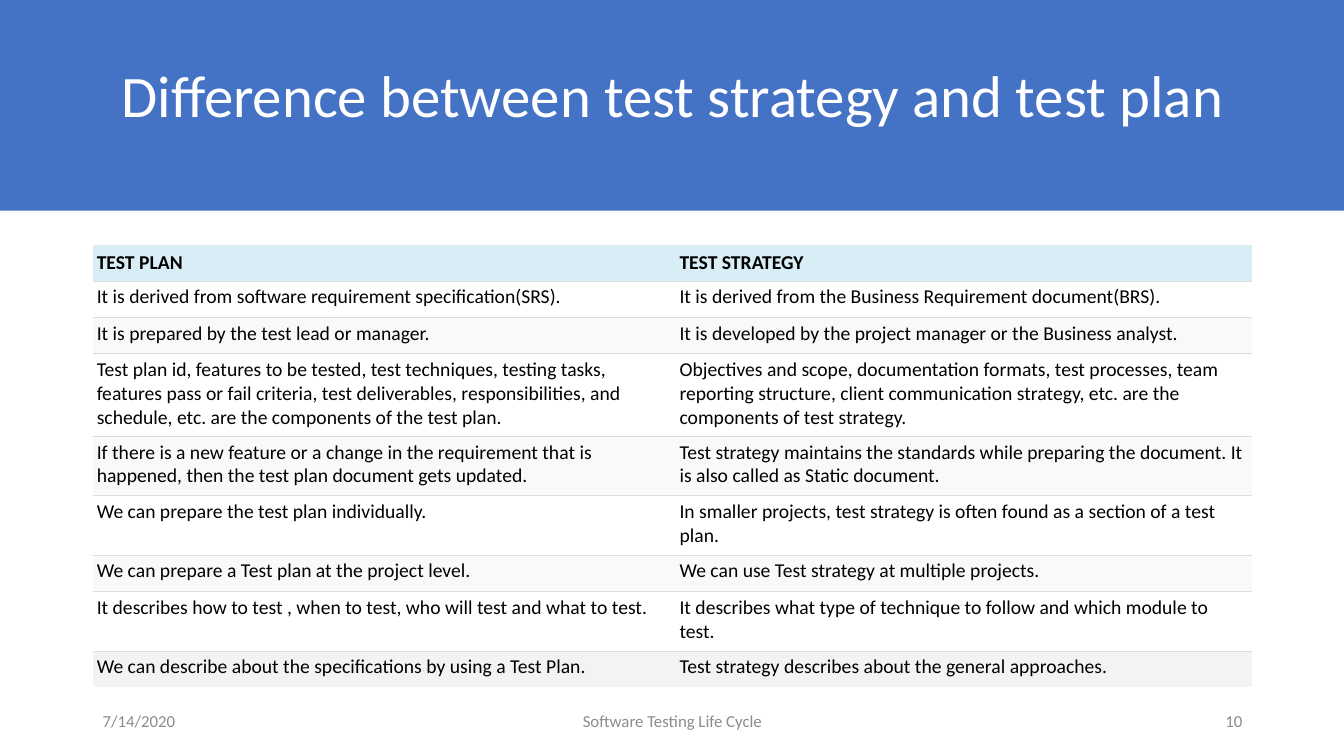
from dataclasses import dataclass

from lxml.etree import SubElement
from pptx import Presentation
from pptx.dml.color import RGBColor
from pptx.enum.shapes import MSO_SHAPE
from pptx.enum.text import MSO_ANCHOR, PP_ALIGN
from pptx.oxml.ns import qn
from pptx.util import Inches, Pt


@dataclass(frozen=True)
class Theme:
    """Colours, font and type sizes of the slide."""
    font: str = "Calibri"
    band: str = "4472C4"
    title: str = "FFFFFF"
    text: str = "000000"
    footer: str = "8C8C8C"
    header_fill: str = "D9EDF7"
    row_fills: tuple = ("FFFFFF", "F9F9F9")
    last_fill: str = "F3F3F3"
    rule: str = "DDDDDD"
    title_size: int = 42
    table_size: int = 14
    footer_size: int = 12


THEME = Theme()
MARGIN, CONTENT_WIDTH = 0.92, 11.5
COLUMN_WIDTHS = (5.78, 5.72)
LINE_HEIGHTS = {1: 0.36, 2: 0.59, 3: 0.82}
ROW_LINES = (1, 1, 1, 3, 2, 2, 1, 2, 1)
ROWS = (
    ("TEST PLAN", "TEST STRATEGY"),
    ("It is derived from software requirement specification(SRS).",
     "It is derived from the Business Requirement document(BRS)."),
    ("It is prepared by the test lead or manager.",
     "It is developed by the project manager or the Business analyst."),
    ("Test plan id, features to be tested, test techniques, testing tasks, features pass or "
     "fail criteria, test deliverables, responsibilities, and schedule, etc. are the "
     "components of the test plan.",
     "Objectives and scope, documentation formats, test processes, team reporting structure, "
     "client communication strategy, etc. are the components of test strategy."),
    ("If there is a new feature or a change in the requirement that is happened, then the "
     "test plan document gets updated.",
     "Test strategy maintains the standards while preparing the document. It is also called "
     "as Static document."),
    ("We can prepare the test plan individually.",
     "In smaller projects, test strategy is often found as a section of a test plan."),
    ("We can prepare a Test plan at the project level.",
     "We can use Test strategy at multiple projects."),
    ("It describes how to test , when to test, who will test and what to test.",
     "It describes what type of technique to follow and which module to test."),
    ("We can describe about the specifications by using a Test Plan.",
     "Test strategy describes about the general approaches."),
)
FOOTERS = (
    ("7/14/2020", MARGIN, 3, PP_ALIGN.LEFT),
    ("Software Testing Life Cycle", 4.42, 4.5, PP_ALIGN.CENTER),
    ("10", 9.42, 3, PP_ALIGN.RIGHT),
)


def apply_format(target, values):
    """Set each named attribute of the target."""
    for name, value in values.items():
        setattr(target, name, value)


def write_text(paragraph, text, size, color, bold=False):
    """Add a run of formatted text to a paragraph."""
    run = paragraph.add_run()
    run.text = text
    apply_format(run.font, {"name": THEME.font, "size": Pt(size), "bold": bold})
    run.font.color.rgb = RGBColor.from_string(color)


def add_band(slide, width, height):
    """Add the coloured band behind the title."""
    shape = slide.shapes.add_shape(MSO_SHAPE.RECTANGLE, 0, 0, width, height)
    shape.shadow.inherit = False
    shape.fill.solid()
    shape.fill.fore_color.rgb = RGBColor.from_string(THEME.band)
    shape.line.fill.background()


def add_text(slide, text, box, size, color, anchor, paragraph_format):
    """Add a wrapped text box holding one paragraph."""
    frame = slide.shapes.add_textbox(*map(Inches, box)).text_frame
    apply_format(frame, {"word_wrap": True, "vertical_anchor": anchor})
    paragraph = frame.paragraphs[0]
    apply_format(paragraph, paragraph_format)
    write_text(paragraph, text, size, color)


def set_borders(cell, ruled_sides):
    """Rule the named sides of a cell and clear the others."""
    properties = cell._tc.get_or_add_tcPr()
    for side in ("L", "R", "T", "B"):
        line = SubElement(properties, qn(f"a:ln{side}"), w=str(Pt(0.6)))
        if side in ruled_sides:
            fill = SubElement(line, qn("a:solidFill"))
            SubElement(fill, qn("a:srgbClr"), val=THEME.rule)
        else:
            SubElement(line, qn("a:noFill"))


def row_fill(index):
    """Return the fill colour of a table row."""
    if index == 0:
        return THEME.header_fill
    if index == len(ROWS) - 1:
        return THEME.last_fill
    return THEME.row_fills[(index - 1) % 2]


def fill_cell(cell, text, index):
    """Write and format one table cell."""
    is_header = index == 0
    sides = ("T" if index > 0 else "") + ("B" if index < len(ROWS) - 1 else "")
    set_borders(cell, sides)
    cell.fill.solid()
    cell.fill.fore_color.rgb = RGBColor.from_string(row_fill(index))
    margins = {f"margin_{side}": Inches(0.04) for side in ("left", "right", "top", "bottom")}
    anchor = MSO_ANCHOR.MIDDLE if is_header else MSO_ANCHOR.TOP
    apply_format(cell, {**margins, "vertical_anchor": anchor})
    write_text(cell.text_frame.paragraphs[0], text, THEME.table_size, THEME.text, is_header)


def add_comparison_table(slide):
    """Add the table comparing test plan and test strategy."""
    heights = [LINE_HEIGHTS[lines] for lines in ROW_LINES]
    box = (MARGIN, 2.43, CONTENT_WIDTH, sum(heights))
    table = slide.shapes.add_table(len(ROWS), len(COLUMN_WIDTHS), *map(Inches, box)).table
    for column, width in zip(table.columns, COLUMN_WIDTHS):
        column.width = Inches(width)
    for index, (row, height, texts) in enumerate(zip(table.rows, heights, ROWS)):
        row.height = Inches(height)
        for cell, text in zip(row.cells, texts):
            fill_cell(cell, text, index)


def main():
    """Build the slide and save it."""
    presentation = Presentation()
    apply_format(presentation, {"slide_width": Inches(13.33), "slide_height": Inches(7.5)})
    slide = presentation.slides.add_slide(presentation.slide_layouts[6])
    add_band(slide, presentation.slide_width, Inches(2.09))
    add_text(slide, "Difference between test strategy and test plan",
             (MARGIN, 0.32, CONTENT_WIDTH, 1.02), THEME.title_size, THEME.title,
             MSO_ANCHOR.BOTTOM, {"alignment": PP_ALIGN.CENTER, "line_spacing": 0.9})
    add_comparison_table(slide)
    for text, left, width, alignment in FOOTERS:
        add_text(slide, text, (left, 6.95, width, 0.4), THEME.footer_size, THEME.footer,
                 MSO_ANCHOR.MIDDLE, {"alignment": alignment})
    presentation.save("out.pptx")


main()
